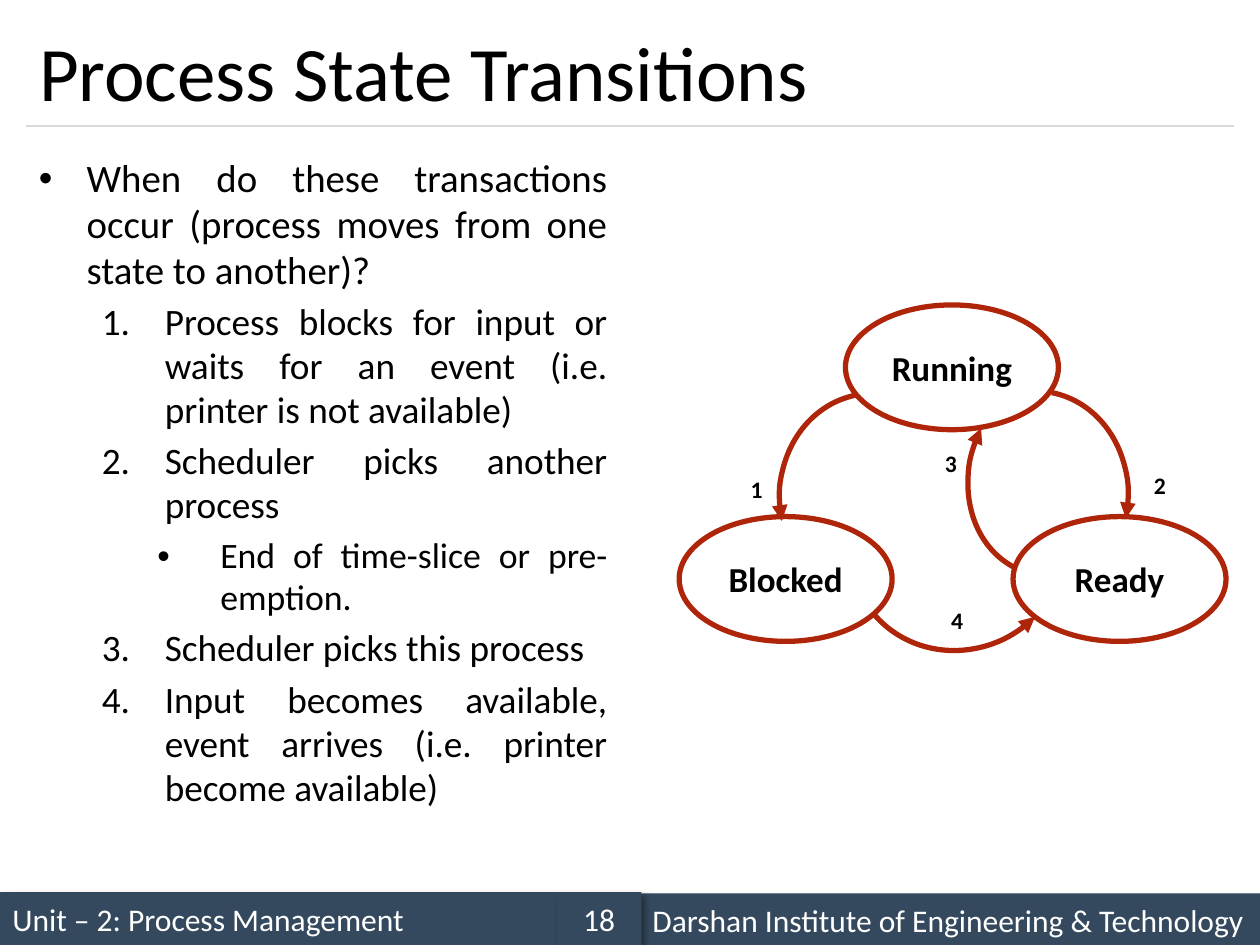
"""Build the process state transitions slide."""
from typing import NamedTuple

from lxml.etree import SubElement
from pptx import Presentation
from pptx.dml.color import RGBColor
from pptx.enum.shapes import MSO_CONNECTOR as Connector, MSO_SHAPE as Shape
from pptx.enum.text import MSO_ANCHOR as Anchor, MSO_AUTO_SIZE as AutoSize, PP_ALIGN as Align
from pptx.oxml.ns import qn
from pptx.util import Inches, Pt

COLORS = {"text": "000000", "state": "AE250A", "footer": "34495E", "light": "FFFFFF", "rule": "D9D9D9"}
FONT = "Calibri"
STATE_SIZE = (1.69, 0.99)
LABEL_SIZE = (0.23, 0.33)


class Footer(NamedTuple):
    text: str
    left: float
    top: float
    width: float
    align: Align = Align.LEFT


class Level(NamedTuple):
    margin: float
    hanging: float
    size: float
    numbered: bool


class Item(NamedTuple):
    text: str
    level: int


class Label(NamedTuple):
    text: str
    left: float
    top: float


class Arc(NamedTuple):
    left: float
    top: float
    width: float
    height: float
    rotation: float
    flipped: bool = False
    angles: tuple = ()


FOOTERS = [
    Footer("Unit – 2: Process Management", 0, 7.08, 4.42),
    Footer("Darshan Institute of Engineering & Technology", 5.08, 7.09, 4.92),
    Footer("18", 4.42, 7.08, 0.67, Align.CENTER),
]
LEVELS = [Level(0.38, 0.38, 22.2, False), Level(1, 0.5, 21.3, True), Level(1.44, 0.5, 20.4, False)]
ITEMS = [
    Item("When do these transactions occur (process moves from one state to another)?", 0),
    Item("Process blocks for input or waits for an event (i.e. printer is not available)", 1),
    Item("Scheduler picks another process", 1),
    Item("End of time-slice or pre-emption.", 2),
    Item("Scheduler picks this process", 1),
    Item("Input becomes available, event arrives (i.e. printer become available)", 1),
]
STATES = [Label("Running", 6.71, 2.42), Label("Blocked", 5.39, 4.1), Label("Ready", 8.04, 4.1)]
ARCS = [
    Arc(7.41, 3.1, 1.54, 1.73, 11.2),
    Arc(7.71, 2.85, 1.48, 1.75, 206.2),
    Arc(6.19, 3.12, 1.54, 1.73, 348.8, True),
    Arc(6.77, 3.41, 1.69, 1.78, 230.7, True, (162, 3.49)),
]
NUMBERS = [Label("1", 5.86, 3.72), Label("2", 9.06, 3.69), Label("3", 7.4, 3.51), Label("4", 7.45, 4.76)]


def color(name: str) -> RGBColor:
    """Look up a named colour."""
    return RGBColor.from_string(COLORS[name])


def inches(*lengths: float) -> list:
    """Convert several lengths."""
    return [Inches(length) for length in lengths]


def add_run(para, text: str, size: float, bold: bool = False, tone: str = "text") -> None:
    """Add one formatted run."""
    span = para.add_run()
    span.text = text
    span.font.name = FONT
    span.font.size = Pt(size)
    span.font.bold = bold
    span.font.color.rgb = color(tone)


def add_title(slide, text: str) -> None:
    """Place and fill the title."""
    box = slide.shapes.title
    box.left, box.top, box.width, box.height = inches(0.21, 0.12, 9.58, 0.88)
    frame = box.text_frame
    frame.auto_size = AutoSize.NONE
    frame.vertical_anchor = Anchor.MIDDLE
    frame.paragraphs[0].alignment = Align.LEFT
    add_run(frame.paragraphs[0], text, 44)


def add_rule(slide) -> None:
    """Draw the line under the title."""
    line = slide.shapes.add_connector(Connector.STRAIGHT, *inches(0.21, 1, 9.79, 1))
    line.line.color.rgb = color("rule")
    line.line.width = Pt(0.75)
    SubElement(line._element.spPr, qn("a:effectLst"))


def add_footer(slide, footer: Footer) -> None:
    """Draw one shadowed footer panel."""
    box = slide.shapes.add_shape(Shape.RECTANGLE, *inches(footer.left, footer.top, footer.width, 0.42))
    box.fill.solid()
    box.fill.fore_color.rgb = color("footer")
    box.line.fill.background()
    box.shadow.inherit = False
    effects = box._element.spPr.find(qn("a:effectLst"))
    shadow = SubElement(effects, qn("a:outerShdw"), blurRad=str(Pt(4)), dist=str(Pt(3)), dir="2700000")
    tint = SubElement(shadow, qn("a:srgbClr"), val=COLORS["text"])
    SubElement(tint, qn("a:alpha"), val="40000")
    box.text_frame.vertical_anchor = Anchor.MIDDLE
    para = box.text_frame.paragraphs[0]
    para.alignment = footer.align
    add_run(para, footer.text, 18, tone="light")


def add_body(slide, items: list) -> None:
    """Write the bulleted and numbered list."""
    frame = slide.shapes.add_textbox(*inches(0.21, 1.19, 4.71, 5.53)).text_frame
    frame.word_wrap = True
    for index, item in enumerate(items):
        level = LEVELS[item.level]
        para = frame.add_paragraph() if index else frame.paragraphs[0]
        para.level = item.level
        para.alignment = Align.JUSTIFY
        para.line_spacing = 0.98
        para.space_before = Pt(4.4 if index else 0)
        props = para._p.get_or_add_pPr()
        props.set("marL", str(Inches(level.margin)))
        props.set("indent", str(-Inches(level.hanging)))
        SubElement(props, qn("a:buFont"), typeface=FONT if level.numbered else "Arial")
        if level.numbered:
            SubElement(props, qn("a:buAutoNum"), type="arabicPeriod")
        else:
            SubElement(props, qn("a:buChar"), char="•")
        add_run(para, item.text, level.size)


def add_outline(slide, kind: Shape, *place: float):
    """Draw an unfilled shape in the state colour."""
    shape = slide.shapes.add_shape(kind, *inches(*place))
    shape.fill.background()
    shape.line.color.rgb = color("state")
    shape.line.width = Pt(3)
    shape.shadow.inherit = False
    return shape


def add_state(slide, state: Label) -> None:
    """Draw one process state."""
    oval = add_outline(slide, Shape.OVAL, state.left, state.top, *STATE_SIZE)
    oval.text_frame.vertical_anchor = Anchor.MIDDLE
    para = oval.text_frame.paragraphs[0]
    para.alignment = Align.CENTER
    add_run(para, state.text, 20, bold=True)


def add_arc(slide, arc: Arc) -> None:
    """Draw one curved transition arrow."""
    curve = add_outline(slide, Shape.ARC, arc.left, arc.top, arc.width, arc.height)
    curve.rotation = arc.rotation
    for index, angle in enumerate(arc.angles):
        curve.adjustments[index] = angle
    if arc.flipped:
        curve._element.spPr.xfrm.set("flipH", "1")
    SubElement(curve.line._get_or_add_ln(), qn("a:tailEnd"), type="triangle")


def add_number(slide, number: Label) -> None:
    """Write one transition number."""
    frame = slide.shapes.add_textbox(*inches(number.left, number.top, *LABEL_SIZE)).text_frame
    frame.word_wrap = True
    add_run(frame.paragraphs[0], number.text, 13.5, bold=True)


def main() -> None:
    """Assemble and save the deck."""
    deck = Presentation()
    deck.slide_width, deck.slide_height = inches(10, 7.5)
    page = deck.slides.add_slide(deck.slide_layouts[5])
    for footer in FOOTERS:
        add_footer(page, footer)
    add_rule(page)
    add_body(page, ITEMS)
    add_title(page, "Process State Transitions")
    for draw, parts in ((add_state, STATES), (add_arc, ARCS), (add_number, NUMBERS)):
        for part in parts:
            draw(page, part)
    deck.save("out.pptx")


if __name__ == "__main__":
    main()
